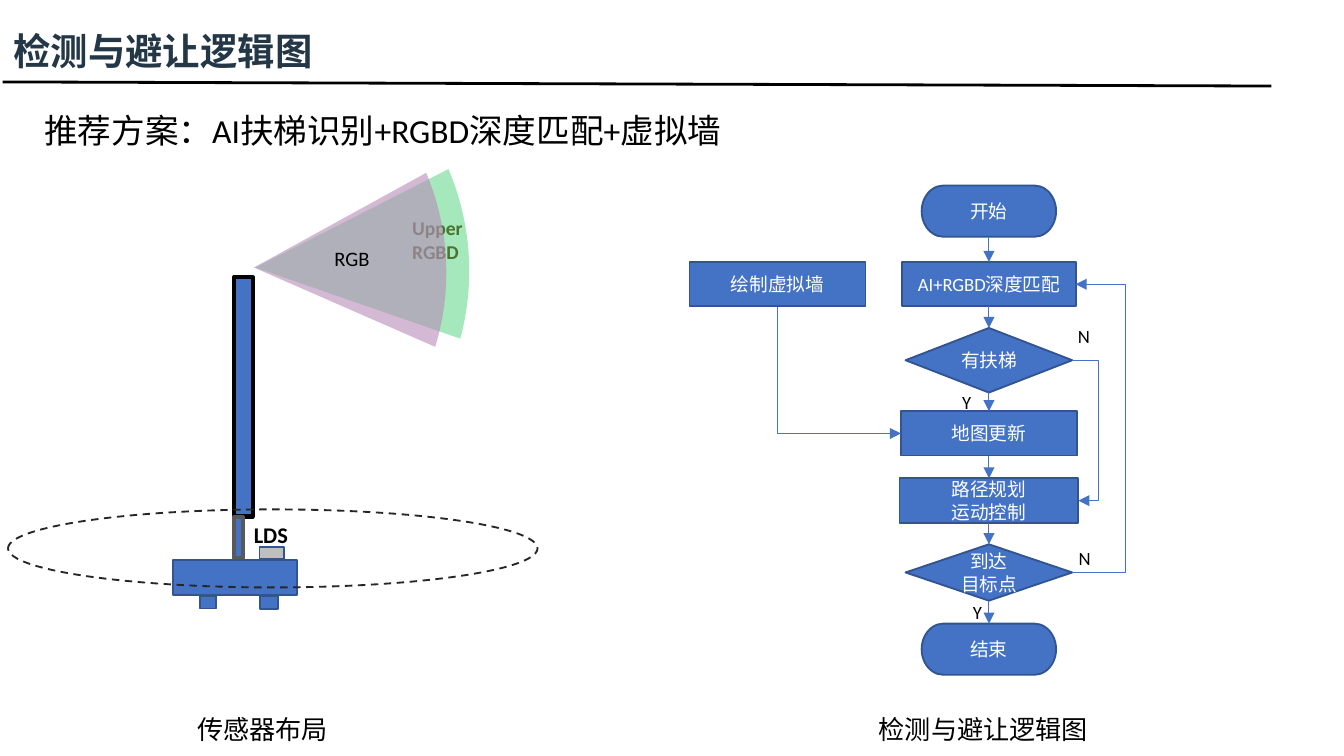
from itertools import pairwise
from lxml.etree import SubElement
from pptx import Presentation
from pptx.dml.color import RGBColor
from pptx.enum.dml import MSO_LINE
from pptx.enum.shapes import MSO_CONNECTOR, MSO_SHAPE
from pptx.enum.text import MSO_ANCHOR, PP_ALIGN
from pptx.oxml.ns import qn
from pptx.util import Pt

BLACK = RGBColor(0, 0, 0)
WHITE = RGBColor(255, 255, 255)
BLUE = RGBColor(0x44, 0x72, 0xC4)
EDGE = RGBColor(0x32, 0x54, 0x91)
GRAY = RGBColor(0xBF, 0xBF, 0xBF)
SLATE = RGBColor(0x59, 0x59, 0x59)
DARK = RGBColor(0x26, 0x26, 0x26)
NAVY = RGBColor(0x23, 0x37, 0x46)
MOSS = RGBColor(0x4B, 0x73, 0x2F)
GREEN = RGBColor(0x6F, 0xDB, 0x93)
MAUVE = RGBColor(0xB8, 0x8F, 0xBB)
LATIN, HAN = "Calibri", "Noto Sans CJK SC"

# Content: title, labels as (text, box, font values)
TITLE = ("检测与避让逻辑图", (0, 11.5, 328.3, 31.7),
         dict(name=HAN, size=Pt(20), bold=True, color=NAVY))
HEAD = dict(name=LATIN, size=Pt(18), color=BLACK)
CAP = dict(name=HAN, size=Pt(14), color=BLACK)
TAG = dict(name=LATIN, size=Pt(10), color=BLACK)
NODE = dict(TAG, color=WHITE)
LABELS = [
    ("推荐方案：AI扶梯识别+RGBD深度匹配+虚拟墙", (16.6, 55.4, 399.6, 28.8), HEAD),
    ("传感器布局", (98.6, 378.7, 86, 24.5), CAP),
    ("检测与避让逻辑图", (463.7, 378.7, 129.6, 24.5), CAP),
    ("Y", (508.3, 205.9, 22, 19.4), TAG),
    ("N", (570.4, 170.6, 22, 19.4), TAG),
    ("Y", (514.1, 318.2, 22, 19.4), TAG),
    ("N", (570.8, 289.4, 22, 19.4), TAG),
]

# Sensor parts, back to front: (kind, box, fill, edge, edge width)
RECT, PIE = MSO_SHAPE.RECTANGLE, MSO_SHAPE.PIE
ROBOT = [
    (RECT, (125.3, 148.5, 10.1, 128.2), BLUE, BLACK, 2.25),
    (RECT, (125.3, 277.2, 5, 21.6), BLUE, SLATE, 2.25),
    (RECT, (92.9, 300.2, 66.2, 18.7), BLUE, EDGE, 1),
    (RECT, (107.3, 319.5, 8.6, 6.5), BLUE, EDGE, 1),
    (RECT, (139.2, 319.5, 9.8, 7), BLUE, EDGE, 1),
    (RECT, (139, 293, 13, 6.5), GRAY, EDGE, 1),
]
SCAN = (MSO_SHAPE.OVAL, (4.3, 272.9, 283.7, 41.8), None, DARK, 1)
# Fields of view: (box, fill, angles, label)
VIEWS = [
    ((22.3, 16.6, 229, 253.4), GREEN, (94.38, 122.07),
     ("Upper RGBD", (213.8, 112.3, 60.5, 32.4),
      dict(name=LATIN, size=Pt(10.5), bold=True, color=MOSS))),
    ((33.1, 23.8, 205.9, 239), MAUVE, (93.3, 124.76),
     ("RGB", (172.1, 128.2, 52.6, 20.9), dict(TAG, size=Pt(11)))),
]
LDS = ("LDS", (128.9, 275.8, 43.2, 21.6),
       dict(name=LATIN, size=Pt(12), bold=True, color=BLACK))

# Flow nodes: (key, text, kind, middle x, top, width, height)
MID = 529.8
TERM, TEST = MSO_SHAPE.FLOWCHART_TERMINATOR, MSO_SHAPE.FLOWCHART_DECISION
CHAIN = [
    ("start", "开始", TERM, MID, 99.4, 72, 27.4),
    ("match", "AI+RGBD深度匹配", RECT, MID, 140.4, 92.9, 23.8),
    ("stairs", "有扶梯", TEST, MID, 175.7, 89.3, 34.6),
    ("map", "地图更新", RECT, MID, 220.3, 94.3, 23.8),
    ("plan", "路径规划\n运动控制", RECT, MID, 256.3, 95.8, 23.8),
    ("goal", "到达\n目标点", TEST, MID, 291.6, 89.3, 30.2),
    ("end", "结束", TERM, MID, 334.1, 72, 27.4),
]
WALL = ("wall", "绘制虚拟墙", RECT, 416.5, 140.4, 94.3, 23.8)
LOOPS = [("stairs", "plan", 588.2), ("goal", "match", 602.6)]

deck = Presentation()
deck.slide_width, deck.slide_height = Pt(720), Pt(405)
slide = deck.slides.add_slide(deck.slide_layouts[5])
shapes = slide.shapes


def write(item, text, form, align=PP_ALIGN.LEFT, anchor=MSO_ANCHOR.TOP):
    frame = item.text_frame
    frame.text, frame.word_wrap = text, True
    frame.vertical_anchor = anchor
    for para in frame.paragraphs:
        para.alignment = align
        run = para.runs[0]
        for key, val in form.items():
            if key == "color":
                run.font.color.rgb = val
            else:
                setattr(run.font, key, val)
        SubElement(run.font._element, qn("a:ea"), typeface=form["name"])


def label(text, box, form):
    write(shapes.add_textbox(*map(Pt, box)), text, form)


def draw(kind, box, fill, edge, width=1):
    item = shapes.add_shape(kind, *map(Pt, box))
    item.shadow.inherit = False
    if fill is None:
        item.fill.background()
    else:
        item.fill.solid()
        item.fill.fore_color.rgb = fill
    if edge is None:
        item.line.fill.background()
    else:
        item.line.color.rgb, item.line.width = edge, Pt(width)
    return item


def link(kind, ends, color=BLUE, width=0.5, arrow=True):
    line = shapes.add_connector(kind, *map(int, ends))
    line.line.color.rgb, line.line.width = color, Pt(width)
    if arrow:
        SubElement(line.line._get_or_add_ln(), qn("a:tailEnd"), type="triangle")
    SubElement(line.element.spPr, qn("a:effectLst"))
    return line


def side(item):
    return item.left + item.width, item.top + item.height // 2


# Title and rule
text, box, form = TITLE
head = shapes.title
head.left, head.top, head.width, head.height = map(Pt, box)
write(head, text, form)
link(MSO_CONNECTOR.STRAIGHT, map(Pt, (1.4, 43.9, 681.1, 46.1)), BLACK, 1.5, False)

# Sensor layout
for part in ROBOT:
    draw(*part)
for box, fill, angles, note in VIEWS:
    if fill == MAUVE:
        label(*LDS)
        draw(*SCAN).line.dash_style = MSO_LINE.DASH
    fan = draw(PIE, box, fill, None)
    fan.rotation = 175.7
    fan.adjustments[0], fan.adjustments[1] = angles
    SubElement(fan.element.spPr.find(".//" + qn("a:srgbClr")),
               qn("a:alpha"), val="62000")
    label(*note)

# Flow nodes
nodes = {}
for key, text, kind, mid, top, wide, high in CHAIN + [WALL]:
    node = draw(kind, (mid - wide / 2, top, wide, high), BLUE, EDGE)
    for edge in ("left", "right", "top", "bottom"):
        setattr(node.text_frame, "margin_" + edge, 0)
    write(node, text, NODE, PP_ALIGN.CENTER, MSO_ANCHOR.MIDDLE)
    nodes[key] = node

# Straight arrows down the chain
for one, two in pairwise(CHAIN):
    line = link(MSO_CONNECTOR.STRAIGHT, (0, 0, 0, 0))
    line.begin_connect(nodes[one[0]], 2)
    line.end_connect(nodes[two[0]], 0)

# Loops out to the right
for one, two, lane in LOOPS:
    x1, y1 = side(nodes[one])
    x2, y2 = side(nodes[two])
    loop = link(MSO_CONNECTOR.ELBOW, (x1, y1, x2, y2))
    bend = round((Pt(lane) - x1) / (x2 - x1) * 100000)
    SubElement(loop.element.spPr.find(".//" + qn("a:avLst")), qn("a:gd"),
               name="adj1", fmla=f"val {bend}")

# Wall to map: down, then right, as a turned one-bend connector
wall, area = nodes["wall"], nodes["map"]
x1, y1 = wall.left + wall.width // 2, wall.top + wall.height
x2, y2 = area.left, area.top + area.height // 2
wide, high = y2 - y1, x2 - x1
left, top = (x1 + x2 - wide) // 2, (y1 + y2 - high) // 2
turn = link(MSO_CONNECTOR.ELBOW, (left, top, left + wide, top + high))
turn.element.spPr.find(qn("a:prstGeom")).set("prst", "bentConnector2")
for key, val in dict(rot="16200000", flipH="1").items():
    turn.element.spPr.find(qn("a:xfrm")).set(key, val)

# Labels
for item in LABELS:
    label(*item)

deck.save("out.pptx")
